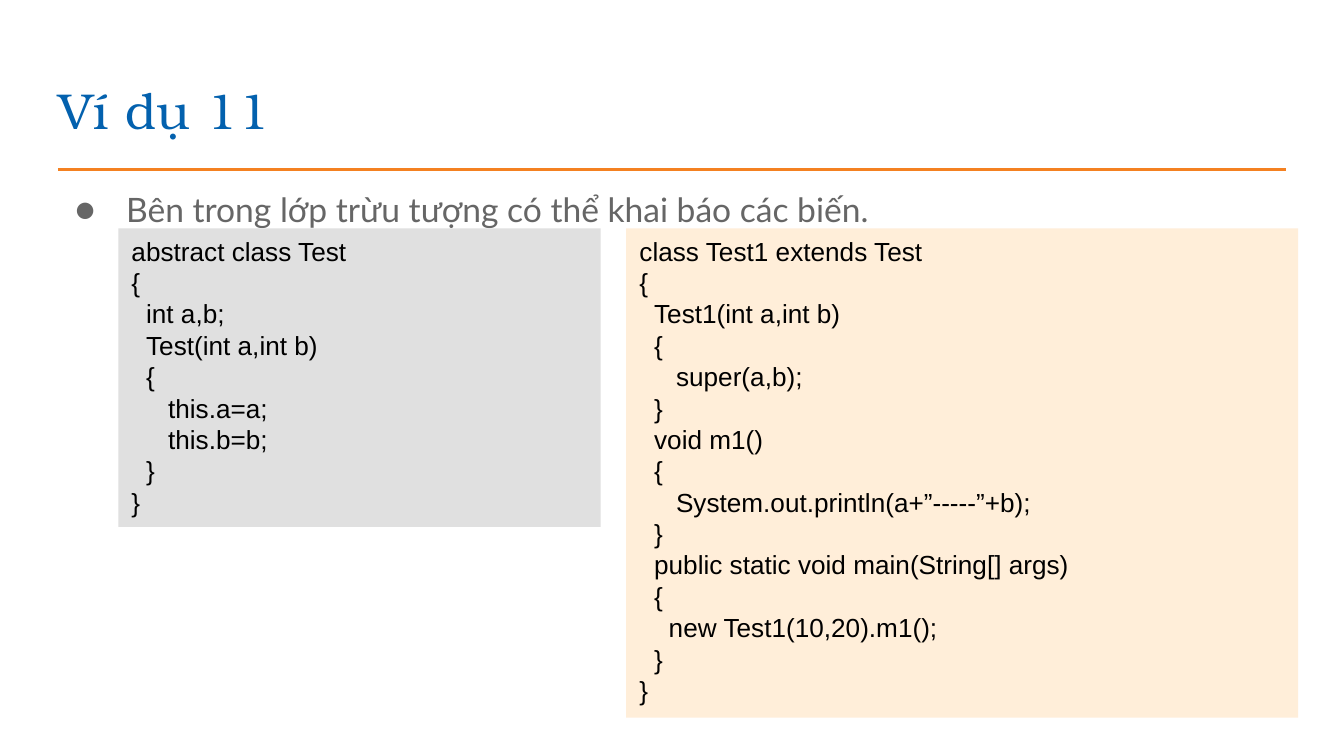
from lxml.etree import SubElement
from pptx import Presentation
from pptx.dml.color import RGBColor
from pptx.enum.shapes import MSO_CONNECTOR, MSO_SHAPE
from pptx.enum.text import MSO_ANCHOR, MSO_AUTO_SIZE, PP_ALIGN
from pptx.oxml.ns import qn
from pptx.util import Pt

EMU_PER_PX = 9144  # 100 px to the inch

BASE_CLASS = """\
abstract class Test
{
  int a,b;
  Test(int a,int b)
  {
     this.a=a;
     this.b=b;
  }
}"""

DERIVED_CLASS = """\
class Test1 extends Test
{
  Test1(int a,int b)
  {
     super(a,b);
  }
  void m1()
  {
     System.out.println(a+”-----”+b);
  }
  public static void main(String[] args)
  {
    new Test1(10,20).m1();
  }
}"""


def px(length):
    return round(length * EMU_PER_PX)


def color(hex_string):
    return RGBColor.from_string(hex_string)


class CodeSlide:
    TITLE_FONT, BODY_FONT, CODE_FONT = "TeX Gyre Bonum", "Lato", "Arial"
    BLUE, ORANGE, GRAY, BLACK = "0361AE", "F48121", "666666", "000000"
    CODE_SIZE = 14
    SPACE_WIDTH = 0.28  # of the code size, for one column of indent

    def __init__(self, slide):
        self.slide = slide

    def style(self, paragraph, font, size, hex_string):
        paragraph.font.name = font
        paragraph.font.size = Pt(size)
        paragraph.font.color.rgb = color(hex_string)

    def text_box(self, left, top, width, height, text):
        """Add a one-paragraph box with even margins; return its frame."""
        box = self.slide.shapes.add_textbox(
            px(left), px(top), px(width), px(height))
        frame = box.text_frame
        frame.word_wrap = True
        frame.margin_left = frame.margin_right = px(10)
        frame.margin_top = frame.margin_bottom = px(10)
        frame.text = text
        return frame

    def title(self, left, top, width, height, text):
        frame = self.text_box(left, top, width, height, text)
        frame.vertical_anchor = MSO_ANCHOR.TOP
        self.style(frame.paragraphs[0], self.TITLE_FONT, 27, self.BLUE)

    def rule(self, left, right, y):
        line = self.slide.shapes.add_connector(
            MSO_CONNECTOR.STRAIGHT, px(left), px(y), px(right), px(y))
        line.line.color.rgb = color(self.ORANGE)
        line.line.width = Pt(1.5)
        SubElement(line._element.spPr, qn("a:effectLst"))

    def bullet(self, left, top, width, height, text):
        paragraph = self.text_box(left, top, width, height, text).paragraphs[0]
        paragraph.alignment = PP_ALIGN.JUSTIFY
        paragraph.line_spacing = 1.15
        self.style(paragraph, self.BODY_FONT, 18, self.GRAY)
        properties = paragraph._p.get_or_add_pPr()
        properties.set("marL", str(px(50)))
        properties.set("indent", str(px(-38)))
        marker_color = SubElement(properties, qn("a:buClr"))
        SubElement(marker_color, qn("a:srgbClr"), val=self.GRAY)
        marker_font = SubElement(
            properties, qn("a:buFont"), typeface=self.BODY_FONT)
        marker = SubElement(properties, qn("a:buChar"), char="●")
        run_defaults = properties.find(qn("a:defRPr"))
        for part in (marker_color, marker_font, marker):
            run_defaults.addprevious(part)

    def code(self, left, top, width, height, fill, source):
        panel = self.slide.shapes.add_shape(
            MSO_SHAPE.RECTANGLE, px(left), px(top), px(width), px(height))
        panel.shadow.inherit = False
        panel.fill.solid()
        panel.fill.fore_color.rgb = color(fill)
        panel.line.fill.background()
        frame = panel.text_frame
        frame.word_wrap = True
        frame.auto_size = MSO_AUTO_SIZE.SHAPE_TO_FIT_TEXT
        frame.vertical_anchor = MSO_ANCHOR.TOP
        lines = source.splitlines()
        frame.text = "\n".join(line.lstrip() for line in lines)
        for paragraph, line in zip(frame.paragraphs, lines):
            columns = len(line) - len(line.lstrip())
            paragraph.alignment = PP_ALIGN.LEFT
            self.style(paragraph, self.CODE_FONT, self.CODE_SIZE, self.BLACK)
            indent = Pt(columns * self.SPACE_WIDTH * self.CODE_SIZE)
            paragraph._p.get_or_add_pPr().set("marL", str(indent))


def main():
    deck = Presentation()
    deck.slide_width = px(1000)
    deck.slide_height = deck.slide_width * 9 // 16
    page = CodeSlide(deck.slides.add_slide(deck.slide_layouts[6]))

    page.rule(43, 957, 126)
    page.bullet(34, 126, 932, 374,
                "Bên trong lớp trừu tượng có thể khai báo các biến.")
    page.title(34, 49, 932, 63, "Ví dụ 11")
    page.code(88, 170, 359, 222, "E0E0E0", BASE_CLASS)
    page.code(466, 170, 500, 364, "FFEED9", DERIVED_CLASS)

    deck.save("out.pptx")


if __name__ == "__main__":
    main()
